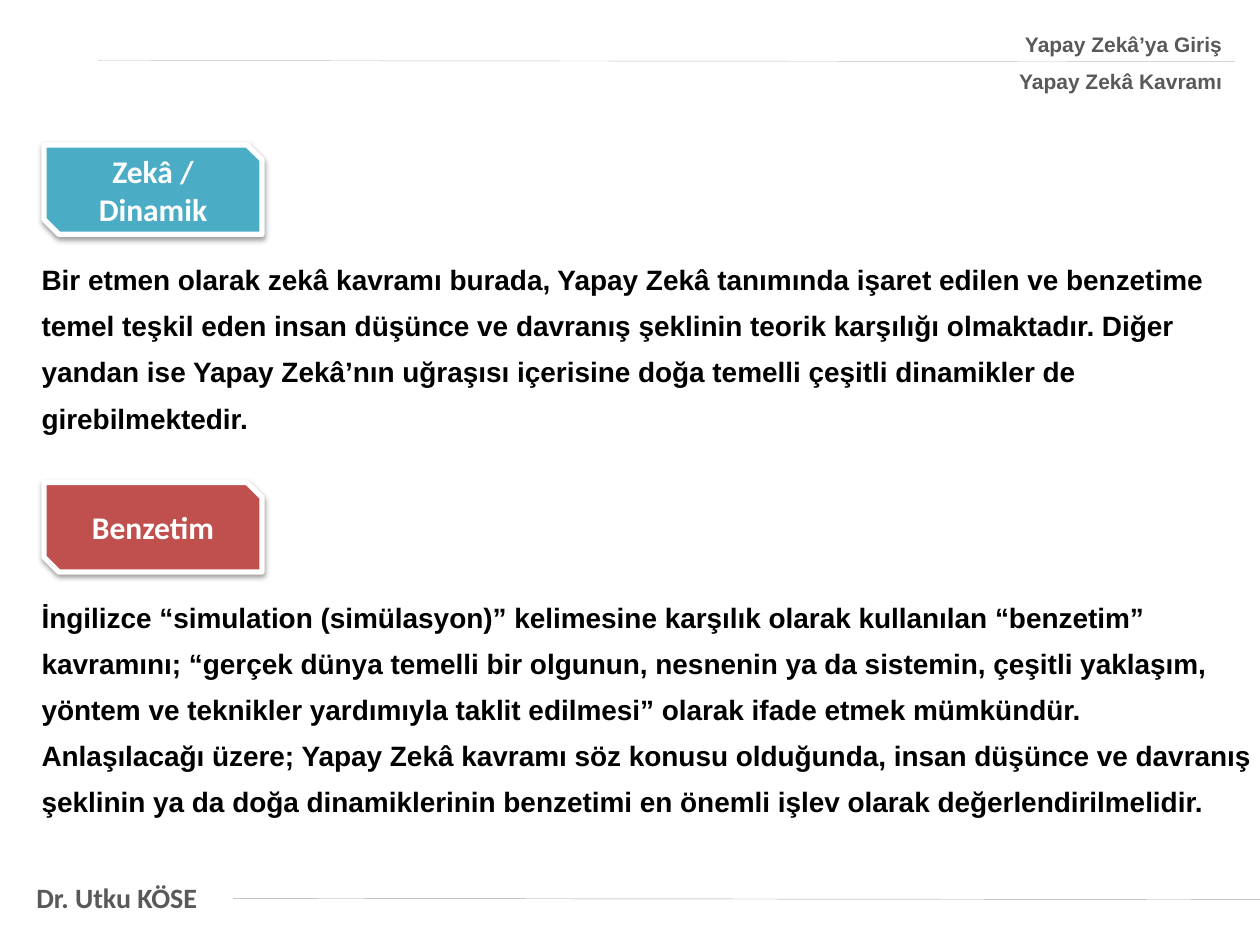
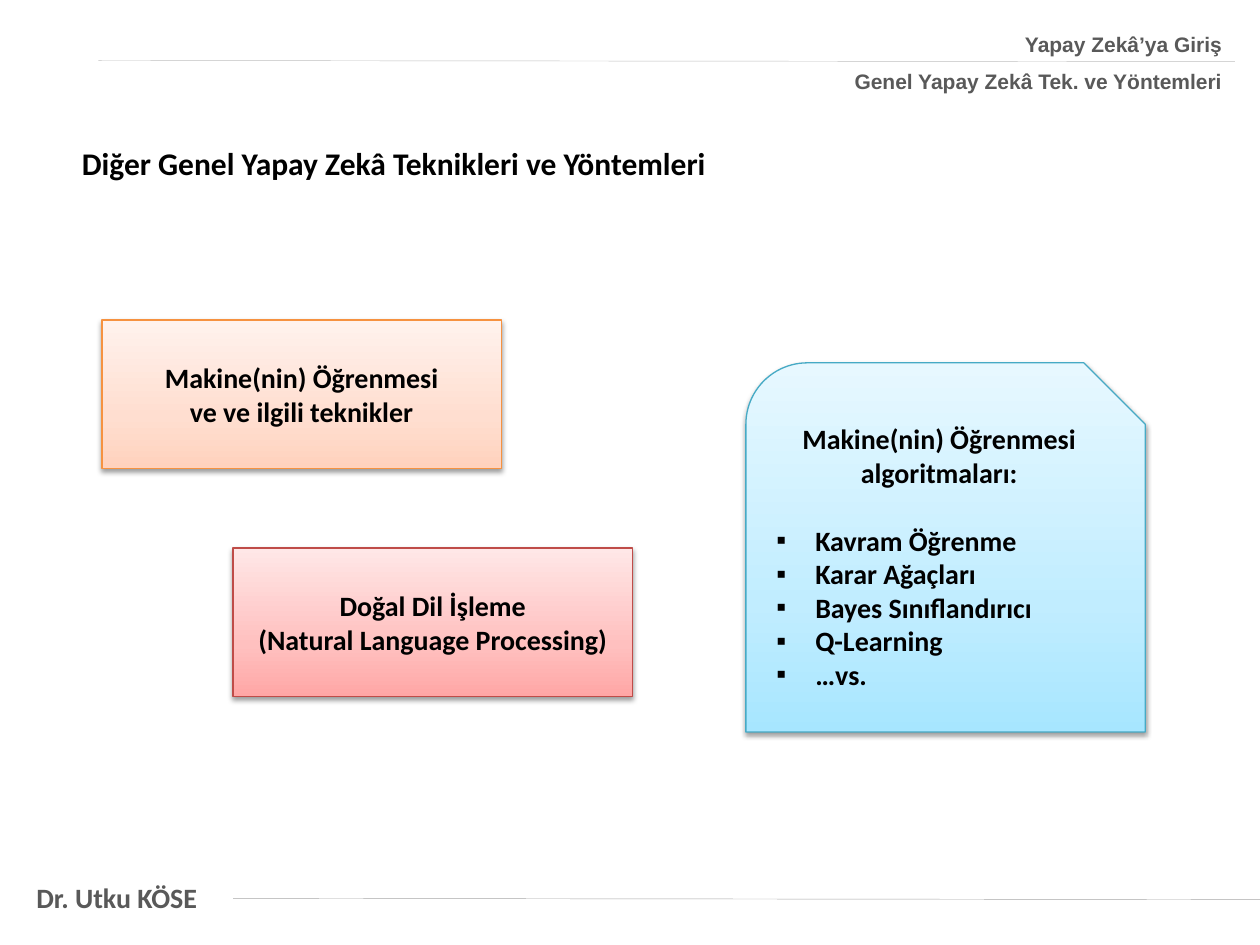
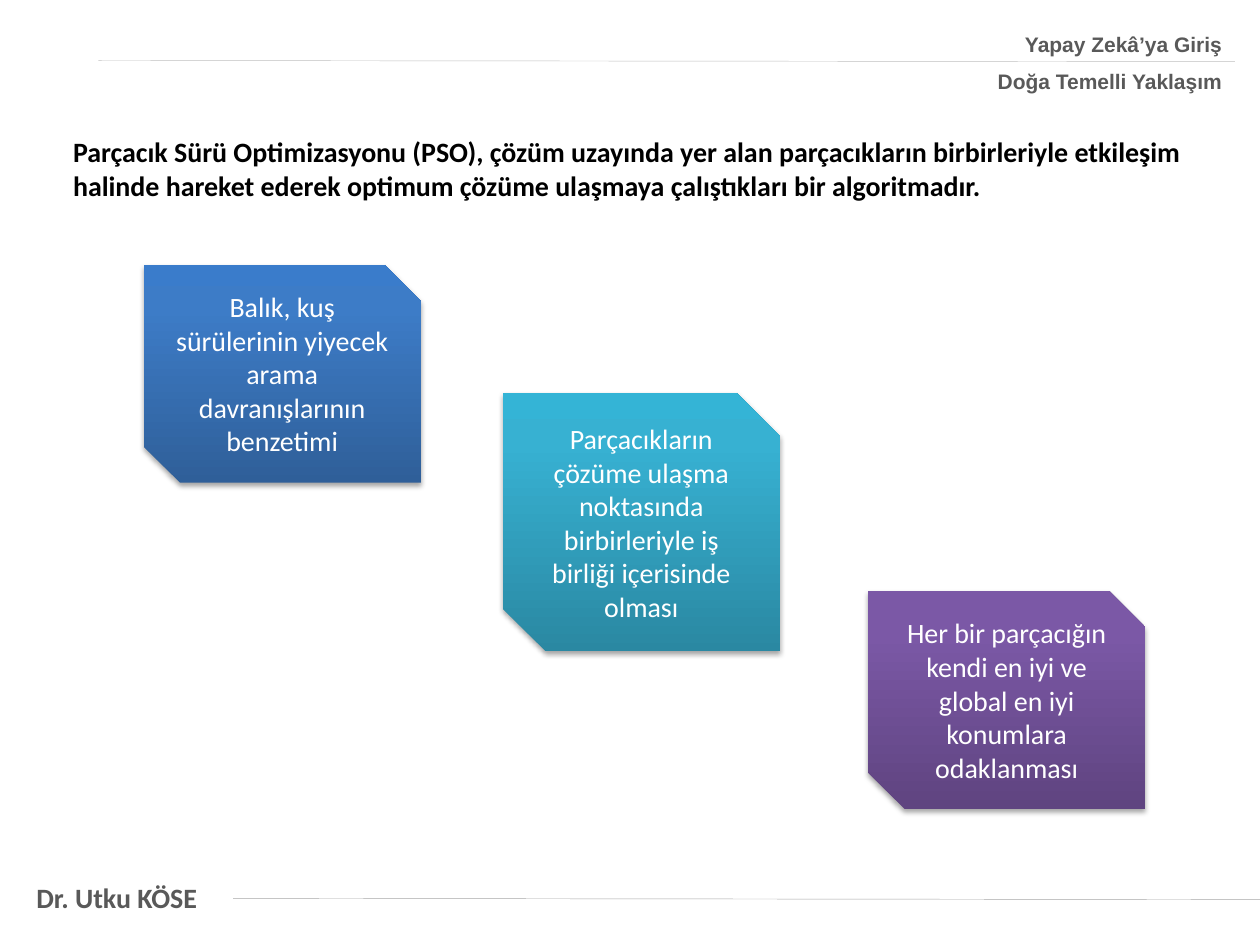
from dataclasses import dataclass

from lxml.etree import SubElement
from pptx import Presentation
from pptx.dml.color import RGBColor
from pptx.enum.shapes import MSO_CONNECTOR as Connector, MSO_SHAPE as Preset
from pptx.enum.text import MSO_ANCHOR as Anchor, MSO_AUTO_SIZE as AutoSize, PP_ALIGN as Align
from pptx.oxml.ns import qn
from pptx.util import Inches, Pt


@dataclass(frozen=True)
class TextStyle:
    font: str
    size: int
    color: str
    bold: bool = True
    align: Align = Align.LEFT
    before: float = 0
    after: float = 0
    leading: float = 1.0


@dataclass(frozen=True)
class Theme:
    header = TextStyle("Arial", 12, "595959", align=Align.RIGHT, after=6, leading=1.06)
    author = TextStyle("Calibri", 16, "595959")
    badge = TextStyle("Calibri", 18, "FFFFFF", align=Align.CENTER)
    passage = TextStyle("Arial", 16, "000000", before=3, after=3, leading=1.06)
    heading = TextStyle("Calibri", 18, "000000")
    intro = TextStyle("Calibri", 16, "000000")
    card = TextStyle("Calibri", 16, "000000", align=Align.CENTER)
    bullet = TextStyle("Calibri", 16, "000000")
    idea = TextStyle("Calibri", 16, "FFFFFF", bold=False, align=Align.CENTER)
    header_rule = "BFBFBF"
    footer_rule = "A6A6A6"
    badge_border = "FFFFFF"
    teal = "4BACC6"
    red = "C0504D"
    pale_orange = ((0, "FFD2BD"), (35, "FFDED0"), (100, "FFF2ED"))
    pale_red = ((0, "FFA6A5"), (35, "FFC0BF"), (100, "FFE7E7"))
    pale_blue = ((0, "A7E6FF"), (35, "C1EDFF"), (100, "E7F8FF"))
    orange_border = "F69240"
    red_border = "BF4C48"
    blue_border = "46AAC5"
    deep_blue = ((0, "2F5F99"), (80, "3D7CC7"), (100, "3A7CCB"))
    deep_teal = ((0, "2A88A2"), (80, "37B1D2"), (100, "34B4D6"))
    deep_purple = ((0, "5F4480"), (80, "7B58A6"), (100, "7C57A8"))


@dataclass(frozen=True)
class Box:
    left: float
    top: float
    width: float
    height: float

    def inches(self):
        return [Inches(v) for v in (self.left, self.top, self.width, self.height)]

    def inner(self, dx, dy, width, height):
        return Box(self.left + dx, self.top + dy, width, height)


THEME = Theme()
COURSE = "Yapay Zekâ’ya Giriş"
AUTHOR = "Dr. Utku KÖSE"
TITLE_AND_BODY, TITLE_AND_TWO_BODIES = 1, 3


def rgb(color):
    return RGBColor.from_string(color)


def set_bullet(paragraph, mark):
    props = paragraph._p.get_or_add_pPr()
    hang = Inches(0.31) if mark else 0
    props.set("marL", str(hang))
    props.set("indent", str(-hang))
    if mark:
        SubElement(props, qn("a:buFont"), typeface="Arial")
        SubElement(props, qn("a:buChar"), char=mark)
    else:
        SubElement(props, qn("a:buNone"))


def write_line(frame, text, style, first, mark=None, gap=None):
    paragraph = frame.paragraphs[0] if first else frame.add_paragraph()
    paragraph.text = text
    set_bullet(paragraph, mark)
    paragraph.alignment = style.align
    paragraph.line_spacing = style.leading
    paragraph.space_before = Pt(0 if first else style.before if gap is None else gap)
    paragraph.space_after = Pt(style.after)
    font = paragraph.font
    font.name, font.size, font.bold = style.font, Pt(style.size), style.bold
    font.color.rgb = rgb(style.color)


def write(frame, lines, style, anchor=Anchor.TOP):
    frame.word_wrap = True
    frame.auto_size = AutoSize.NONE
    frame.vertical_anchor = anchor
    for index, text in enumerate(lines):
        write_line(frame, text, style, index == 0)


def fill_placeholder(placeholder, box, lines, style):
    placeholder.left, placeholder.top, placeholder.width, placeholder.height = box.inches()
    write(placeholder.text_frame, lines, style)


def add_rule(slide, left, top, right, color):
    rule = slide.shapes.add_connector(
        Connector.STRAIGHT, Inches(left), Inches(top), Inches(right), Inches(top + 0.01))
    rule.line.color.rgb = rgb(color)
    rule.line.width = Pt(0.25)
    SubElement(rule._element.spPr, qn("a:effectLst"))


def paint_gradient(shape, stops):
    shape.fill.gradient()
    shape.fill.gradient_angle = 90
    stop_list = shape._element.spPr.find(qn("a:gradFill")).find(qn("a:gsLst"))
    for stop in list(stop_list):
        stop_list.remove(stop)
    for position, color in stops:
        stop = SubElement(stop_list, qn("a:gs"), pos=str(position * 1000))
        SubElement(stop, qn("a:srgbClr"), val=color)


def cast_shadow(shape, opacity, distance):
    shape.shadow.inherit = False
    effects = shape._element.spPr.find(qn("a:effectLst"))
    shadow = SubElement(effects, qn("a:outerShdw"), blurRad=str(Pt(3.1)),
                        dist=str(Pt(distance)), dir="5400000", rotWithShape="0")
    color = SubElement(shadow, qn("a:srgbClr"), val="000000")
    SubElement(color, qn("a:alpha"), val=str(opacity * 1000))


def add_panel(slide, preset, box, fill, lines, style, border=None, border_width=0.75,
              opacity=38, distance=1.6):
    panel = slide.shapes.add_shape(preset, *box.inches())
    if isinstance(fill, str):
        panel.fill.solid()
        panel.fill.fore_color.rgb = rgb(fill)
    else:
        paint_gradient(panel, fill)
    if border:
        panel.line.color.rgb = rgb(border)
        panel.line.width = Pt(border_width)
    else:
        panel.line.fill.background()
    cast_shadow(panel, opacity, distance)
    write(panel.text_frame, lines, style, Anchor.MIDDLE)
    return panel


def start_slide(deck, layout, topic):
    slide = deck.slides.add_slide(deck.slide_layouts[layout])
    add_rule(slide, 1.85, 7.13, 10, THEME.footer_rule)
    add_rule(slide, 0.78, 0.48, 9.8, THEME.header_rule)
    fill_placeholder(slide.shapes.title, Box(5.7, 0.19, 4.1, 0.59), [COURSE, topic], THEME.header)
    author = slide.shapes.add_textbox(*Box(0.19, 6.94, 1.6, 0.37).inches())
    write(author.text_frame, [AUTHOR], THEME.author)
    return slide


def add_term(slide, body, box, term, color, definition):
    add_panel(slide, Preset.SNIP_2_DIAG_RECTANGLE, box.inner(0.12, 0, 1.73, 0.71), color,
              [term], THEME.badge, THEME.badge_border, border_width=3)
    passage_top = 0.87
    fill_placeholder(body, box.inner(0, passage_top, box.width, box.height - passage_top),
                     definition, THEME.passage)


def add_algorithms(slide, box, caption, algorithms):
    panel = add_panel(slide, Preset.SNIP_ROUND_RECTANGLE, box, THEME.pale_blue,
                      [caption], THEME.card, THEME.blue_border)
    for index, algorithm in enumerate(algorithms):
        write_line(panel.text_frame, algorithm, THEME.bullet, False, "▪", 0 if index else 19.5)


def build_concepts(deck):
    slide = start_slide(deck, TITLE_AND_TWO_BODIES, "Yapay Zekâ Kavramı")
    add_term(slide, slide.placeholders[1], Box(0.23, 1.15, 9.76, 2.3), "Zekâ / Dinamik", THEME.teal, [
        "Bir etmen olarak zekâ kavramı burada, Yapay Zekâ tanımında işaret edilen ve benzetime",
        "temel teşkil eden insan düşünce ve davranış şeklinin teorik karşılığı olmaktadır. Diğer",
        "yandan ise Yapay Zekâ’nın uğraşısı içerisine doğa temelli çeşitli dinamikler de",
        "girebilmektedir.",
    ])
    add_term(slide, slide.placeholders[2], Box(0.23, 3.83, 9.98, 2.65), "Benzetim", THEME.red, [
        "İngilizce “simulation (simülasyon)” kelimesine karşılık olarak kullanılan “benzetim”",
        "kavramını; “gerçek dünya temelli bir olgunun, nesnenin ya da sistemin, çeşitli yaklaşım,",
        "yöntem ve teknikler yardımıyla taklit edilmesi” olarak ifade etmek mümkündür.",
        "Anlaşılacağı üzere; Yapay Zekâ kavramı söz konusu olduğunda, insan düşünce ve davranış",
        "şeklinin ya da doğa dinamiklerinin benzetimi en önemli işlev olarak değerlendirilmelidir.",
    ])


def build_techniques(deck):
    slide = start_slide(deck, TITLE_AND_BODY, "Genel Yapay Zekâ Tek. ve Yöntemleri")
    fill_placeholder(slide.placeholders[1], Box(0.55, 1.09, 5.4, 0.4),
                     ["Diğer Genel Yapay Zekâ Teknikleri ve Yöntemleri"], THEME.heading)
    techniques = [
        (0.81, 2.54, THEME.pale_orange, THEME.orange_border,
         ["Makine(nin) Öğrenmesi", "ve ve ilgili teknikler"]),
        (1.85, 4.35, THEME.pale_red, THEME.red_border,
         ["Doğal Dil İşleme", "(Natural Language Processing)"]),
    ]
    for left, top, shades, border, lines in techniques:
        add_panel(slide, Preset.RECTANGLE, Box(left, top, 3.17, 1.18), shades, lines,
                  THEME.card, border)
    add_algorithms(slide, Box(5.92, 2.88, 3.17, 2.93), "Makine(nin) Öğrenmesi algoritmaları:",
                   ["Kavram Öğrenme", "Karar Ağaçları", "Bayes Sınıflandırıcı", "Q-Learning", "…vs."])


def build_swarm(deck):
    slide = start_slide(deck, TITLE_AND_BODY, "Doğa Temelli Yaklaşım")
    fill_placeholder(slide.placeholders[1], Box(0.48, 1.02, 9.21, 0.64), [
        "Parçacık Sürü Optimizasyonu (PSO), çözüm uzayında yer alan parçacıkların birbirleriyle "
        "etkileşim halinde hareket ederek optimum çözüme ulaşmaya çalıştıkları bir algoritmadır."
    ], THEME.intro)
    ideas = [
        (Box(1.14, 2.1, 2.2, 1.73), THEME.deep_blue,
         "Balık, kuş sürülerinin yiyecek arama davranışlarının benzetimi"),
        (Box(3.99, 3.12, 2.2, 2.05), THEME.deep_teal,
         "Parçacıkların çözüme ulaşma noktasında birbirleriyle iş birliği içerisinde olması"),
        (Box(6.89, 4.69, 2.2, 1.73), THEME.deep_purple,
         "Her bir parçacığın kendi en iyi ve global en iyi konumlara odaklanması"),
    ]
    for box, shades, idea in ideas:
        add_panel(slide, Preset.SNIP_2_DIAG_RECTANGLE, box, shades, [idea], THEME.idea,
                  opacity=35, distance=1.8)


def main():
    deck = Presentation()
    deck.slide_width, deck.slide_height = Inches(10), Inches(7.5)
    build_concepts(deck)
    build_techniques(deck)
    build_swarm(deck)
    deck.save("out.pptx")


if __name__ == "__main__":
    main()
